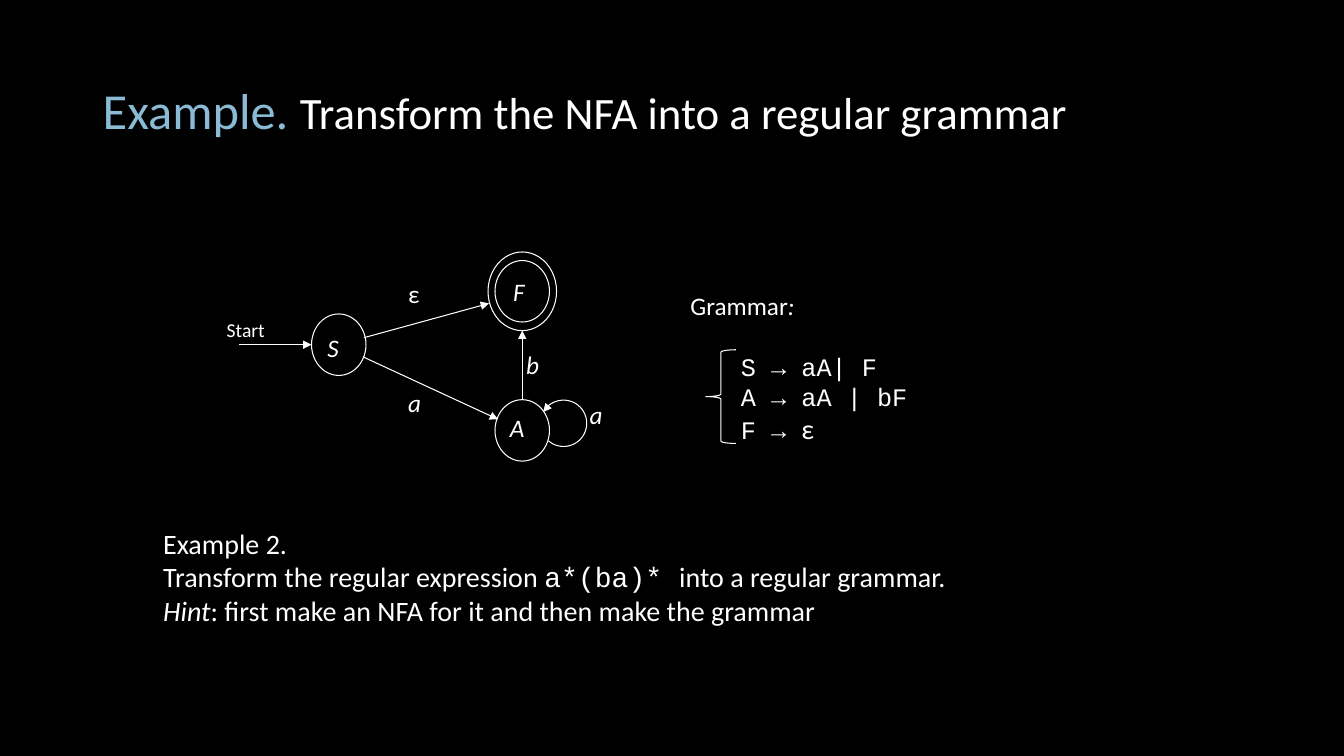
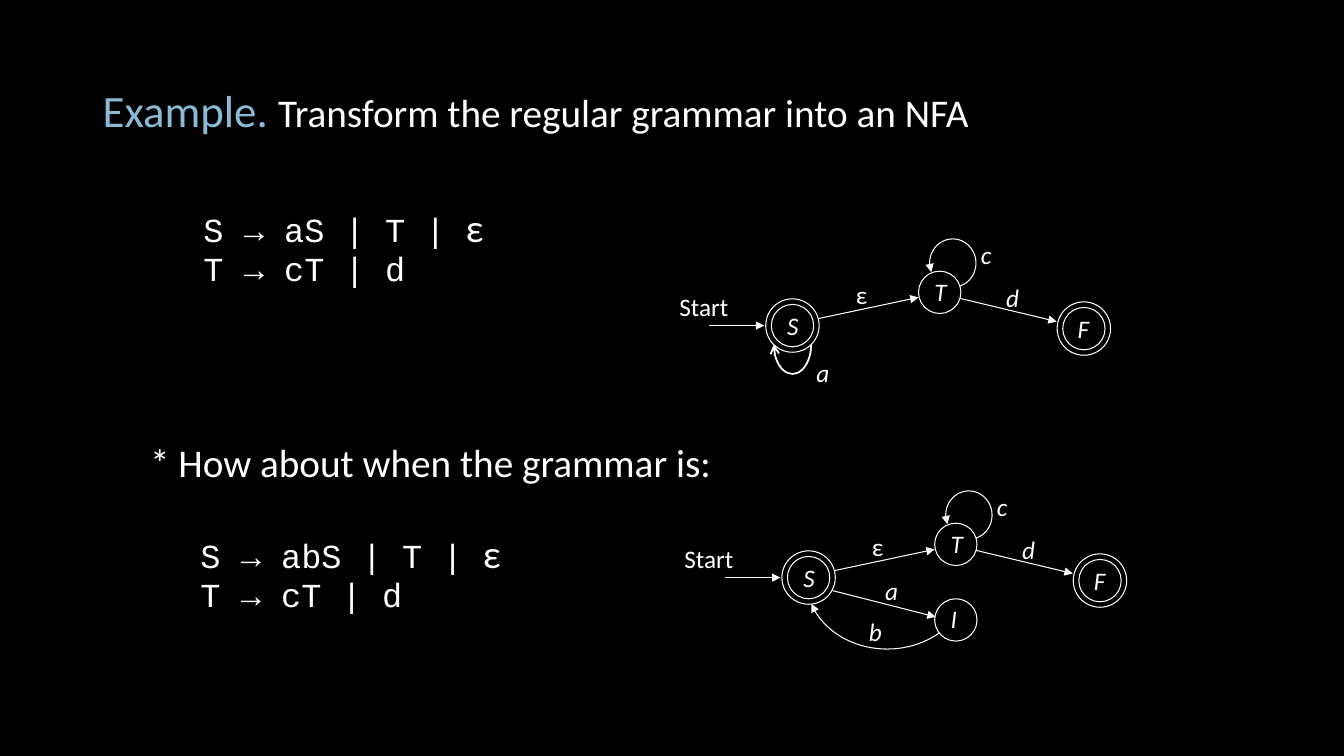
from lxml import etree
from pptx import Presentation
from pptx.dml.color import RGBColor
from pptx.enum.shapes import MSO_CONNECTOR, MSO_SHAPE
from pptx.enum.text import MSO_ANCHOR
from pptx.oxml.ns import qn
from pptx.util import Inches, Pt

BLACK = RGBColor(0x00, 0x00, 0x00)
WHITE = RGBColor(0xFF, 0xFF, 0xFF)
LIGHT_BLUE = RGBColor(0x8A, 0xBA, 0xD4)

STRAIGHT = MSO_CONNECTOR.STRAIGHT
OVAL, ARC, LEFT_BRACE = MSO_SHAPE.OVAL, MSO_SHAPE.ARC, MSO_SHAPE.LEFT_BRACE
MIDDLE, TOP = MSO_ANCHOR.MIDDLE, MSO_ANCHOR.TOP

SANS, MONO = "Calibri", "Courier New"
THIN = 0.75
LABEL = {"size": Pt(18), "name": SANS}
SYMBOL = {**LABEL, "italic": True}
CODE_SMALL = {"size": Pt(18), "name": MONO}
CODE = {"size": Pt(24), "name": MONO}
EPSILON = {"size": Pt(28), "name": SANS}
BODY = {"size": Pt(20), "name": SANS}


# Shared building blocks
def add_text(shapes, box, paragraphs, anchor=TOP):
    """Each paragraph is (runs, paragraph format, left indent in inches)."""
    shape = shapes.add_textbox(*map(Inches, box))
    frame = shape.text_frame
    frame.word_wrap = True
    frame.vertical_anchor = anchor
    for index, (runs, layout, indent) in enumerate(paragraphs):
        paragraph = frame.add_paragraph() if index else frame.paragraphs[0]
        for name, value in layout.items():
            setattr(paragraph, name, value)
        if indent:
            paragraph._p.get_or_add_pPr().set("marL", str(Inches(indent)))
        for text, style, *color in runs:
            run = paragraph.add_run()
            run.text = text
            for name, value in style.items():
                setattr(run.font, name, value)
            run.font.color.rgb = color[0] if color else WHITE


def add_outline(shapes, preset, box, width=THIN):
    shape = shapes.add_shape(preset, *map(Inches, box))
    shape.shadow.inherit = False
    shape.fill.background()
    shape.line.color.rgb = WHITE
    shape.line.width = Pt(width)
    return shape


def add_arrowhead(shape, end="tailEnd", kind="triangle"):
    etree.SubElement(shape.line._get_or_add_ln(), qn(f"a:{end}"), type=kind)


def new_slide(presentation, title, sizes):
    slide = presentation.slides.add_slide(presentation.slide_layouts[6])
    slide.background.fill.solid()
    slide.background.fill.fore_color.rgb = BLACK
    lead_size, title_size = sizes
    runs = [("Example. ", {"size": Pt(lead_size), "name": SANS}, LIGHT_BLUE),
            (title, {"size": Pt(title_size), "name": SANS})]
    add_text(slide.shapes, (0.92, 0.4, 11.5, 1.45),
             [(runs, {"line_spacing": 0.9}, 0)], MIDDLE)
    return slide


class Automaton:
    """A grouped state diagram whose parts are placed from its left top corner."""

    def __init__(self, slide, left, top, state_size, ring_size):
        self.shapes = slide.shapes.add_group_shape().shapes
        self.left, self.top = left, top
        self.state_size, self.ring_size = state_size, ring_size

    def round_outline(self, preset, x, y, size, width=THIN):
        box = (self.left + x - size[0] / 2, self.top + y - size[1] / 2, *size)
        return add_outline(self.shapes, preset, box, width)

    def state(self, x, y, final=False):
        self.round_outline(OVAL, x, y, self.state_size)
        if final:
            self.round_outline(OVAL, x, y, self.ring_size)

    def label(self, text, x, y, style=SYMBOL, width=0.4):
        add_text(self.shapes, (self.left + x, self.top + y, width, 0.4),
                 [([(text, style)], {}, 0)])

    def arrow(self, *points):
        x1, y1, x2, y2 = points
        line = self.shapes.add_connector(
            STRAIGHT, Inches(self.left + x1), Inches(self.top + y1),
            Inches(self.left + x2), Inches(self.top + y2))
        line.line.color.rgb = WHITE
        line.line.width = Pt(THIN)
        add_arrowhead(line)
        etree.SubElement(line._element.spPr, qn("a:effectLst"))

    def curve(self, x, y, size, angles, end="headEnd", kind="triangle", width=THIN):
        """A clockwise arc between two angles in degrees."""
        arc = self.round_outline(ARC, x, y, size, width)
        for index, angle in enumerate(angles):
            arc.adjustments[index] = angle * 0.6
        add_arrowhead(arc, end, kind)


# Slide 1: automaton to grammar
def draw_source_automaton(slide, left, top):
    automaton = Automaton(slide, left, top, (0.54, 0.61), (0.68, 0.78))
    for x, y, final in ((1.21, 0.92, False), (3.03, 1.77, False), (3.03, 0.39, True)):
        automaton.state(x, y, final)
    for points in ((0.22, 0.92, 0.94, 0.92), (1.46, 0.85, 2.7, 0.51),
                   (1.45, 1.04, 2.79, 1.66), (3.03, 1.47, 3.03, 0.78)):
        automaton.arrow(*points)
    automaton.curve(3.44, 1.7, (0.46, 0.46), (209, 131))
    automaton.label("Start", 0, 0.6, {"size": Pt(14), "name": SANS}, 0.87)
    automaton.label("ε", 1.8, 0.21, LABEL)
    for text, x, y in (("S", 1, 0.75), ("F", 2.84, 0.19), ("A", 2.81, 1.54),
                       ("b", 2.97, 0.92), ("a", 3.6, 1.41), ("a", 1.8, 1.29)):
        automaton.label(text, x, y)


def draw_grammar_answer(slide, left, top):
    rules = [[("S → aA| F", CODE_SMALL)], [("A → aA | bF", CODE_SMALL)],
             [("F → ", CODE_SMALL), ("ε", BODY)]]
    paragraphs = [([("Grammar", LABEL), (":", SYMBOL)], {}, 0)]
    for index, runs in enumerate(rules):
        paragraphs.append((runs, {} if index else {"space_before": Pt(22)}, 0.5))
    add_text(slide.shapes, (left, top, 3.91, 1.65), paragraphs)
    add_outline(slide.shapes, LEFT_BRACE, (left + 0.25, top + 0.64, 0.3, 0.93))


def draw_exercise(slide, left, top):
    lines = [[("Example 2.", BODY)],
             [("Transform the regular expression ", BODY),
              ("a*(ba)* ", {**BODY, "name": MONO}),
              ("into a regular grammar.", BODY)],
             [("Hint", {**BODY, "italic": True}),
              (": first make an NFA for it and then make the grammar", BODY)]]
    add_text(slide.shapes, (left, top, 9.91, 1.11), [(runs, {}, 0) for runs in lines])


# Slide 2: grammar to automaton
def grammar_rules(start_rule, space=0):
    tight = {"line_spacing": 0.95}
    return [([(start_rule, CODE), ("ε", EPSILON)], {**tight, "space_before": Pt(space)}),
            ([("T → cT | d", CODE)], tight)]


def draw_grammar(slide, left, top):
    add_text(slide.shapes, (left, top, 3.33, 1.24),
             [(*rule, 0) for rule in grammar_rules("S → aS | T | ")])


def draw_question(slide, left, top):
    question = ([("* How about when the grammar is:", EPSILON)],
                {"line_spacing": 0.95}, 0)
    rules = [(*rule, 0.5) for rule in grammar_rules("S → abS | T | ", 33)]
    add_text(slide.shapes, (left, top, 5.83, 2.16), [question, *rules])


def draw_result_automaton(slide, left, top, start_x):
    """The part that both results share: start, S, T, F and the loop on T."""
    automaton = Automaton(slide, left, top, (0.42, 0.42), (0.53, 0.53))
    for x, y, final in ((2.68, 0.57, False), (1.22, 0.9, True), (4.11, 0.93, True)):
        automaton.state(x, y, final)
    for points in ((0.39, 0.9, 0.94, 0.9), (1.48, 0.83, 2.47, 0.62),
                   (2.88, 0.63, 3.84, 0.86)):
        automaton.arrow(*points)
    automaton.curve(2.81, 0.28, (0.46, 0.48), (157, 72))
    automaton.label("Start", start_x, 0.51, LABEL, 1.04)
    automaton.label("ε", 1.75, 0.39, LABEL)
    for text, x, y in (("S", 1.07, 0.7), ("T", 2.53, 0.36), ("F", 3.95, 0.73),
                       ("c", 2.99, 0), ("d", 3.24, 0.42)):
        automaton.label(text, x, y)
    return automaton


def add_self_loop(automaton):
    automaton.curve(1.22, 1.09, (0.37, 0.58), (0, 180), "tailEnd", "arrow", 1.25)
    automaton.label("a", 1.36, 1.17)


def add_detour(automaton):
    automaton.state(2.68, 1.32)
    automaton.arrow(1.46, 1.03, 2.48, 1.29)
    automaton.curve(2, 0.93, (1.6, 1.36), (45, 163), "tailEnd")
    for text, x, y in (("I", 2.53, 1.11), ("a", 1.88, 0.83), ("b", 1.72, 1.24)):
        automaton.label(text, x, y)


def main():
    presentation = Presentation()
    presentation.slide_width = Inches(13.33)
    presentation.slide_height = Inches(7.5)

    slide = new_slide(presentation, "Transform the NFA into a regular grammar", (36, 32))
    draw_source_automaton(slide, 2.15, 2.5)
    draw_grammar_answer(slide, 6.75, 2.83)
    draw_exercise(slide, 1.52, 5.17)

    slide = new_slide(presentation, "Transform the regular grammar into an NFA", (32, 28))
    draw_grammar(slide, 1.92, 2)
    draw_question(slide, 1.39, 4.33)
    add_self_loop(draw_result_automaton(slide, 6.64, 2.33, 0))
    add_detour(draw_result_automaton(slide, 6.8, 4.83, -0.11))

    presentation.save("out.pptx")


if __name__ == "__main__":
    main()
